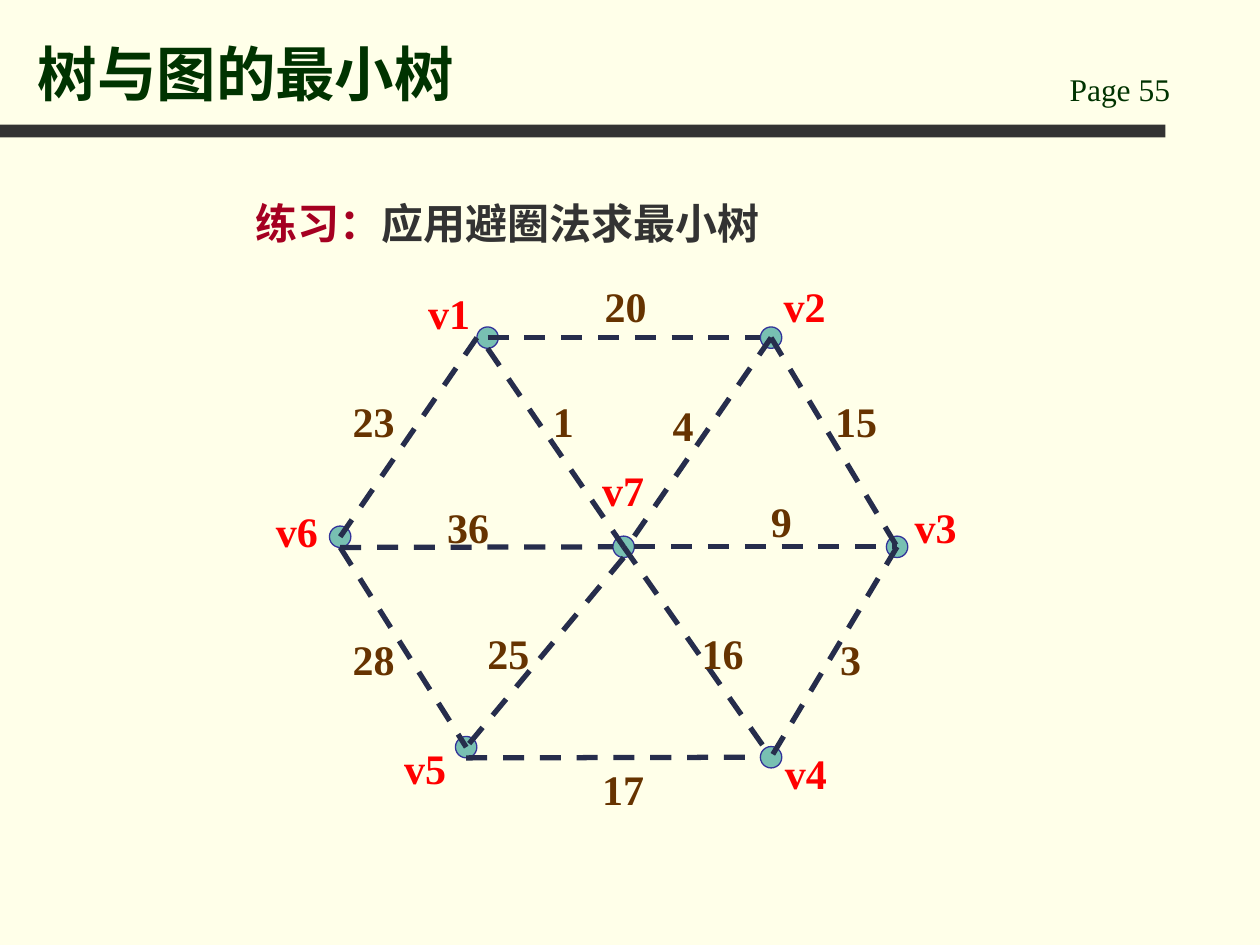
from dataclasses import dataclass
from typing import NamedTuple

from lxml import etree
from pptx import Presentation
from pptx.dml.color import RGBColor
from pptx.enum.dml import MSO_LINE
from pptx.enum.shapes import MSO_CONNECTOR, MSO_SHAPE
from pptx.enum.text import MSO_ANCHOR, MSO_AUTO_SIZE, PP_ALIGN
from pptx.oxml.ns import qn
from pptx.util import Inches, Pt

DASH = MSO_LINE.DASH
STRAIGHT = MSO_CONNECTOR.STRAIGHT
OVAL, RECTANGLE = MSO_SHAPE.OVAL, MSO_SHAPE.RECTANGLE
BOTTOM = MSO_ANCHOR.BOTTOM
NO_FIT, GROW = MSO_AUTO_SIZE.NONE, MSO_AUTO_SIZE.SHAPE_TO_FIT_TEXT
LEFT = PP_ALIGN.LEFT
TITLE_ONLY = 5


@dataclass(frozen=True)
class Theme:
    font: str = "Times New Roman"
    background: str = "FFFFE9"
    heading: str = "003300"
    dark: str = "333333"
    accent: str = "A50021"
    node_fill: str = "78C0B2"
    node_line: str = "333399"
    edge: str = "262D4C"
    node_label: str = "FF0000"
    weight: str = "663300"
    title_size: int = 34
    body_size: int = 24
    page_size: int = 18


class Box(NamedTuple):
    left: float
    top: float
    width: float
    height: float


class Point(NamedTuple):
    x: float
    y: float


class Run(NamedTuple):
    text: str
    color: str
    size: int
    bold: bool = True


class Node(NamedTuple):
    center: Point
    label_at: Point


class Edge(NamedTuple):
    """Ends are node names; each side is an offset from the centre in radii."""
    start: str
    end: str
    weight: str
    label_at: Point
    start_side: Point = Point(0, 0)
    end_side: Point = Point(0, 0)


THEME = Theme()
RADIUS = 0.085
LABEL_WIDTH, LABEL_HEIGHT = 0.58, 0.5
WEST, EAST, SOUTH = Point(-1, 0), Point(1, 0), Point(0, 1)
NORTH_EAST = Point(1, -1)

NODES = {
    "v1": Node(Point(3.87, 2.68), Point(3.3, 2.23)),
    "v2": Node(Point(6.12, 2.68), Point(6.12, 2.18)),
    "v3": Node(Point(7.12, 4.34), Point(7.16, 3.93)),
    "v4": Node(Point(6.12, 6.01), Point(6.13, 5.88)),
    "v5": Node(Point(3.7, 5.93), Point(3.11, 5.84)),
    "v6": Node(Point(2.7, 4.26), Point(2.09, 3.96)),
    "v7": Node(Point(4.95, 4.34), Point(4.68, 3.64)),
}

EDGES = [
    Edge("v1", "v2", "20", Point(4.7, 2.18), end_side=WEST),
    Edge("v1", "v6", "23", Point(2.7, 3.09), start_side=WEST),
    Edge("v2", "v3", "15", Point(6.53, 3.09)),
    Edge("v1", "v7", "1", Point(4.29, 3.09), start_side=SOUTH),
    Edge("v2", "v7", "4", Point(5.24, 3.12), end_side=NORTH_EAST),
    Edge("v6", "v7", "36", Point(3.45, 3.93), SOUTH, WEST),
    Edge("v7", "v3", "9", Point(6.02, 3.88), start_side=EAST),
    Edge("v6", "v5", "28", Point(2.7, 4.98), start_side=SOUTH),
    Edge("v7", "v5", "25", Point(3.77, 4.93), start_side=SOUTH),
    Edge("v7", "v4", "16", Point(5.47, 4.93)),
    Edge("v5", "v4", "17", Point(4.68, 6.01), SOUTH, WEST),
    Edge("v3", "v4", "3", Point(6.57, 4.98)),
]


def rgb(color: str) -> RGBColor:
    return RGBColor.from_string(color)


def inches(box: Box) -> list:
    return [Inches(length) for length in box]


def write_runs(paragraph, runs: list[Run]) -> None:
    for part in runs:
        run = paragraph.add_run()
        run.text = part.text
        formats = {"name": THEME.font, "size": Pt(part.size), "bold": part.bold}
        for attribute, value in formats.items():
            setattr(run.font, attribute, value)
        run.font.color.rgb = rgb(part.color)


def add_text(slide, box: Box, runs: list[Run], line_spacing: float = 1.0) -> None:
    frame = slide.shapes.add_textbox(*inches(box)).text_frame
    frame.word_wrap = True
    frame.auto_size = GROW
    paragraph = frame.paragraphs[0]
    paragraph.line_spacing = line_spacing
    write_runs(paragraph, runs)


def add_label(slide, at: Point, text: str, color: str) -> None:
    add_text(slide, Box(at.x, at.y, LABEL_WIDTH, LABEL_HEIGHT),
             [Run(text, color, THEME.body_size)])


def add_filled_shape(slide, preset, box: Box, fill: str):
    shape = slide.shapes.add_shape(preset, *inches(box))
    shape.shadow.inherit = False
    shape.fill.solid()
    shape.fill.fore_color.rgb = rgb(fill)
    shape.line.fill.background()
    return shape


def add_node(slide, center: Point) -> None:
    box = Box(center.x - RADIUS, center.y - RADIUS, 2 * RADIUS, 2 * RADIUS)
    node = add_filled_shape(slide, OVAL, box, THEME.node_fill)
    node.line.color.rgb = rgb(THEME.node_line)
    node.line.width = Pt(0.75)


def edge_end(name: str, side: Point) -> Point:
    center = NODES[name].center
    return Point(center.x + side.x * RADIUS, center.y + side.y * RADIUS)


def add_edge(slide, edge: Edge) -> None:
    start = edge_end(edge.start, edge.start_side)
    end = edge_end(edge.end, edge.end_side)
    connector = slide.shapes.add_connector(STRAIGHT, *inches(Box(*start, *end)))
    connector.line.color.rgb = rgb(THEME.edge)
    connector.line.width = Pt(3)
    connector.line.dash_style = DASH
    etree.SubElement(connector._element.spPr, qn("a:effectLst"))


def add_title(slide, text: str) -> None:
    title = slide.shapes.title
    placement = zip(("left", "top", "width", "height"),
                    inches(Box(0.2, 0.13, 8.03, 0.78)))
    for attribute, value in placement:
        setattr(title, attribute, value)
    frame = title.text_frame
    formats = {"vertical_anchor": BOTTOM, "auto_size": NO_FIT, "word_wrap": True}
    for attribute, value in formats.items():
        setattr(frame, attribute, value)
    frame.paragraphs[0].alignment = LEFT
    write_runs(frame.paragraphs[0], [Run(text, THEME.heading, THEME.title_size)])


def main() -> None:
    deck = Presentation()
    deck.slide_width, deck.slide_height = Inches(10), Inches(7.5)
    slide = deck.slides.add_slide(deck.slide_layouts[TITLE_ONLY])
    slide.background.fill.solid()
    slide.background.fill.fore_color.rgb = rgb(THEME.background)

    add_filled_shape(slide, RECTANGLE, Box(0, 0.99, 9.25, 0.1), THEME.dark)
    add_text(slide, Box(8.39, 0.51, 1.42, 0.4),
             [Run("Page 55", THEME.heading, THEME.page_size, bold=False)])
    add_title(slide, "树与图的最小树")
    add_text(slide, Box(1.93, 1.44, 7.72, 0.58),
             [Run("练习：", THEME.accent, THEME.body_size),
              Run("应用避圈法求最小树", THEME.dark, THEME.body_size)],
             line_spacing=1.2)

    for node in NODES.values():
        add_node(slide, node.center)
    for edge in EDGES:
        add_edge(slide, edge)
    for name, node in NODES.items():
        add_label(slide, node.label_at, name, THEME.node_label)
    for edge in EDGES:
        add_label(slide, edge.label_at, edge.weight, THEME.weight)

    deck.save("out.pptx")


if __name__ == "__main__":
    main()
